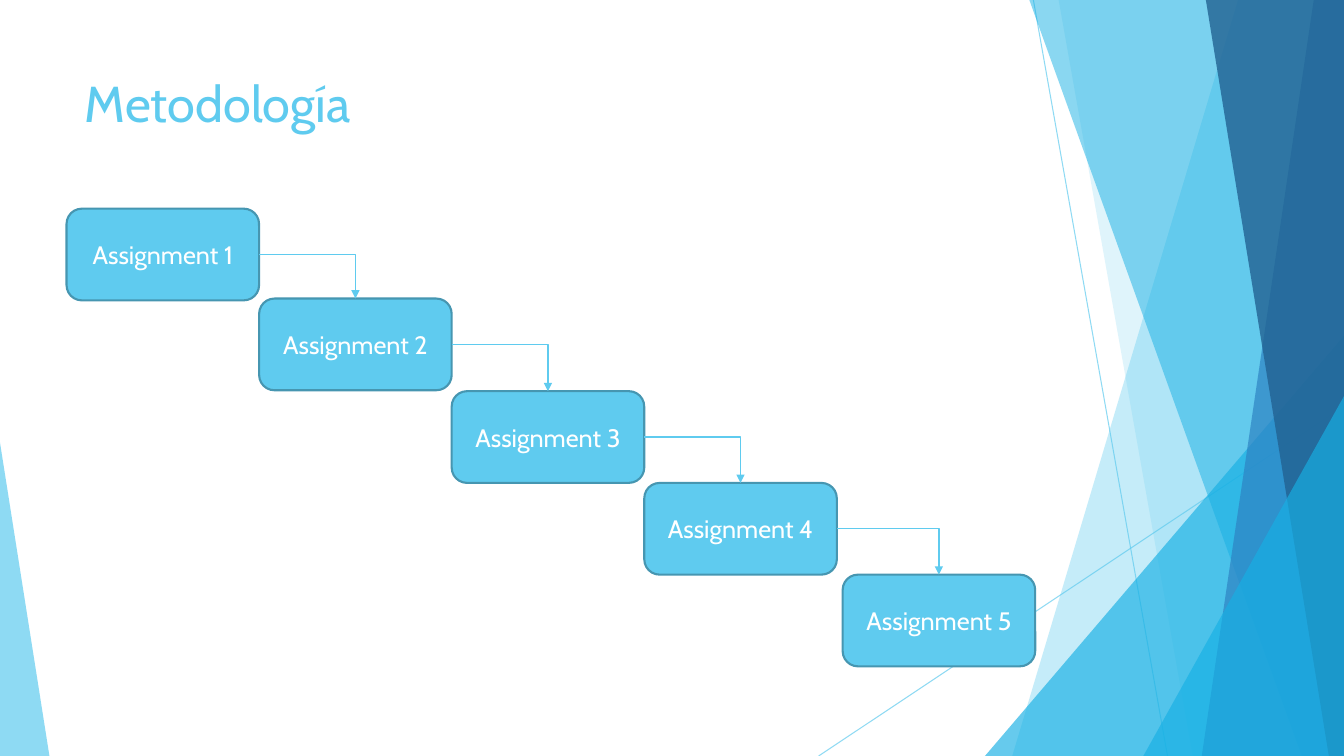
from itertools import pairwise

from lxml.etree import SubElement
from pptx import Presentation
from pptx.dml.color import RGBColor
from pptx.enum.shapes import MSO_CONNECTOR as Link, MSO_SHAPE as Shape
from pptx.enum.text import MSO_ANCHOR as Anchor, PP_ALIGN as Align
from pptx.oxml.ns import qn
from pptx.util import Inches, Pt

SKY, CYAN, BLUE, NAVY = "5FCBEF", "17B0E4", "2E83C3", "226292"
EDGE, WHITE = "4696B1", "FFFFFF"
FONT = "Cabin"
RIGHT_SIDE, TOP_SIDE = 3, 0


def paint(fill, color, opacity=100):
    fill.solid()
    fill.fore_color.rgb = RGBColor.from_string(color)
    if opacity < 100:
        for rgb in fill._xPr.iter(qn("a:srgbClr")):
            SubElement(rgb, qn("a:alpha"), val=str(opacity * 1000))


def write(paragraph, text, size, color):
    run = paragraph.add_run()
    run.text = text
    run.font.name = FONT
    run.font.size = Pt(size)
    paint(run.font.fill, color)


def add_line(slide, kind, ends, width, opacity=100):
    line = slide.shapes.add_connector(kind, *ends)
    line.line.width = Pt(width)
    paint(line.line.fill, SKY, opacity)
    SubElement(line._element.spPr, qn("a:effectLst"))
    return line


def add_facets(slide, box):
    """Draw the translucent background; positions are percentages of the box."""
    left, top, width, height = box

    def x(share):
        return round(left + width * share / 100)

    def y(share):
        return round(top + height * share / 100)

    def finish(facet, color, opacity):
        paint(facet.fill, color, opacity)
        facet.line.fill.background()
        facet.shadow.inherit = False

    def band(top_x, bottom_x, color, opacity):
        outline = slide.shapes.build_freeform(x(top_x), y(0), scale=1.0)
        outline.add_line_segments(
            [(x(100), y(0)), (x(100), y(100)), (x(bottom_x), y(100))])
        finish(outline.convert_to_shape(), color, opacity)

    def corner(start, end, peak_y, peak, color, opacity):
        triangle = slide.shapes.add_shape(
            Shape.ISOSCELES_TRIANGLE, x(start), y(peak_y),
            x(end) - x(start), y(100) - y(peak_y))
        triangle.adjustments[0] = peak
        finish(triangle, color, opacity)

    for x1, y1, x2, y2 in [(76.89, 0, 86.87, 100), (100, 53.73, 60.91, 100)]:
        add_line(slide, Link.STRAIGHT, (x(x1), y(y1), x(x2), y(y2)), 0.75, 70)
    band(92.12, 75.32, SKY, 36)
    band(78.77, 88.75, SKY, 20)
    corner(73.29, 100, 44.4, 1, CYAN, 66)
    band(76.59, 96.85, CYAN, 50)
    band(97.75, 89.42, BLUE, 70)
    band(89.72, 98.87, NAVY, 80)
    corner(85.07, 100, 52.4, 1, CYAN, 66)
    corner(0, 3.68, 58.53, 0, SKY, 70)


def add_heading(slide, box, text):
    heading = slide.shapes.title
    heading.left, heading.top, heading.width, heading.height = box
    frame = heading.text_frame
    frame.vertical_anchor = Anchor.TOP
    frame.paragraphs[0].alignment = Align.LEFT
    write(frame.paragraphs[0], text, 36, SKY)


def add_step(slide, box, text):
    step = slide.shapes.add_shape(Shape.ROUNDED_RECTANGLE, *box)
    step.shadow.inherit = False
    paint(step.fill, SKY)
    paint(step.line.fill, EDGE)
    step.line.width = Pt(1.5)
    frame = step.text_frame
    frame.vertical_anchor = Anchor.MIDDLE
    frame.paragraphs[0].alignment = Align.CENTER
    write(frame.paragraphs[0], text, 18, WHITE)
    return step


def add_staircase(slide, first_box, places):
    """Place steps on a grid whose cell is the first box, and link them."""
    left, top, width, height = first_box
    steps = [
        add_step(slide, (round(left + column * width), round(top + row * height),
                         width, height), f"Assignment {number}")
        for number, (column, row) in enumerate(places, 1)]
    for upper, lower in pairwise(steps):
        arrow = add_line(slide, Link.ELBOW, (0, 0, 0, 0), 1)
        arrow.begin_connect(upper, RIGHT_SIDE)
        arrow.end_connect(lower, TOP_SIDE)
        arrow._element.spPr.find(qn("a:prstGeom")).set("prst", "bentConnector2")
        SubElement(arrow.line._get_or_add_ln(), qn("a:tailEnd"), type="triangle")


def main():
    deck = Presentation()
    deck.slide_width, deck.slide_height = Inches(13.33), Inches(7.5)
    slide = deck.slides.add_slide(deck.slide_layouts[5])
    add_facets(slide, (0, 0, deck.slide_width, deck.slide_height))
    add_heading(slide, [Inches(n) for n in (0.74, 0.67, 9.4, 1.44)], "Metodología")
    add_staircase(slide, [Inches(n) for n in (0.66, 2.07, 1.91, 0.91)],
                  [(0, 0), (1, 0.98), (2, 1.99), (3, 2.99), (4.03, 3.99)])
    deck.save("out.pptx")


if __name__ == "__main__":
    main()
